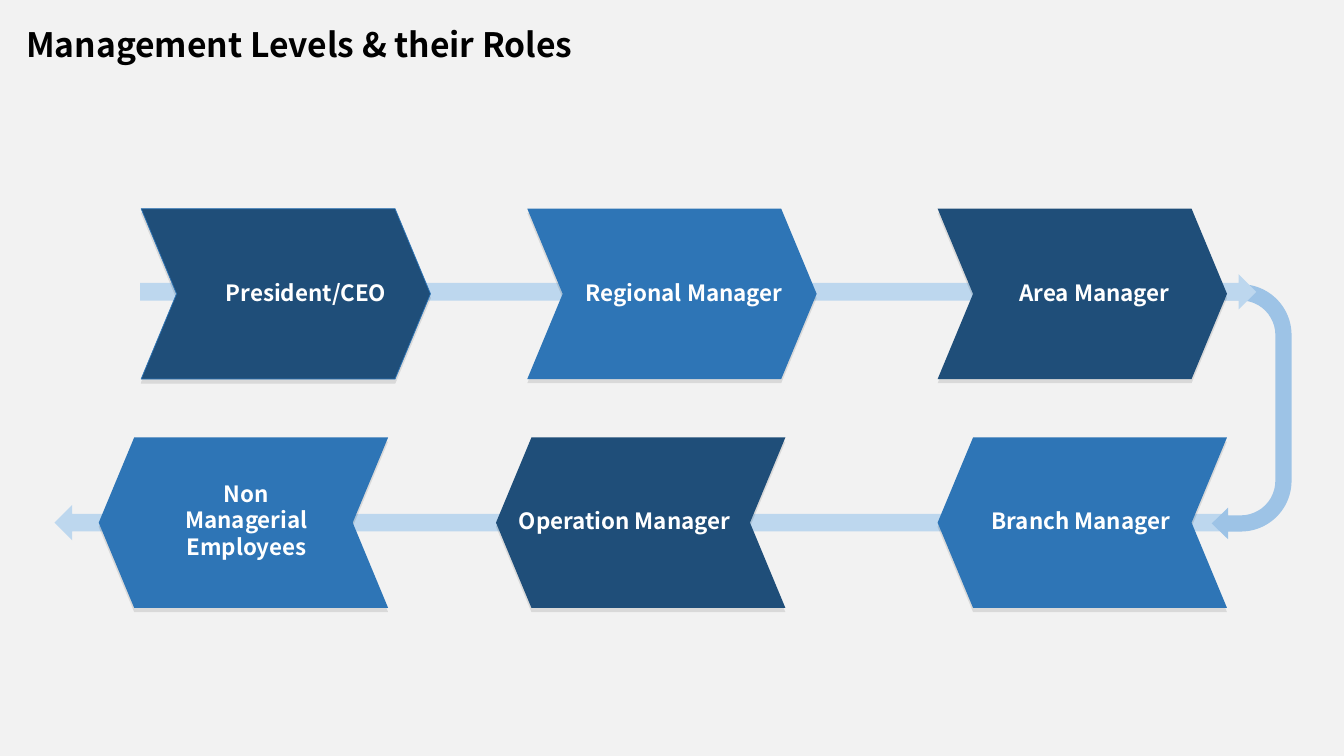
import pptx
import pptx.util
import pptx.dml.color
import pptx.enum.shapes
import pptx.enum.text
import pptx.oxml
import pptx.oxml.ns

Inches = pptx.util.Inches
Kind = pptx.enum.shapes.MSO_SHAPE
Align = pptx.enum.text.PP_ALIGN
colors = {"back": "F2F2F2", "dark": "1F4E79", "mid": "2E75B6", "pale": "BDD7EE",
          "bend": "9DC3E6", "white": "FFFFFF", "black": "000000"}
rgb = {name: pptx.dml.color.RGBColor.from_string(code) for name, code in colors.items()}
shade = (f'<a:outerShdw {pptx.oxml.ns.nsdecls("a")} blurRad="0" dist="38100" dir="5400000" '
         'algn="t" rotWithShape="0"><a:srgbClr val="000000"><a:alpha val="10000"/>'
         '</a:srgbClr></a:outerShdw>')

deck = pptx.Presentation()
deck.slide_width, deck.slide_height = Inches(13.33), Inches(7.5)
slide = deck.slides.add_slide(deck.slide_layouts[6])


def add_form(kind, box, color, adjust=()):
    form = slide.shapes.add_shape(kind, *map(Inches, box))
    form.shadow.inherit = False
    form.fill.solid()
    form.fill.fore_color.rgb = rgb[color]
    form.line.fill.background()
    for i, value in enumerate(adjust):
        form.adjustments[i] = value
    return form


def add_label(text, box, size, color, align):
    label = slide.shapes.add_textbox(*map(Inches, box))
    frame = label.text_frame
    frame.word_wrap = True
    frame.auto_size = pptx.enum.text.MSO_AUTO_SIZE.SHAPE_TO_FIT_TEXT
    para = frame.paragraphs[0]
    para.alignment = align
    run = para.add_run()
    run.text = text
    style = {"name": "Noto Sans CJK SC", "size": pptx.util.Pt(size), "bold": True}
    for key, value in style.items():
        setattr(run.font, key, value)
    run.font.color.rgb = rgb[color]


# Background and the path behind the levels
add_form(Kind.RECTANGLE, (0, 0, 13.33, 7.5), "back")
add_form(Kind.LEFT_ARROW, (0.54, 5.01, 11.63, 0.35), "pale")
bend = add_form(Kind.U_TURN_ARROW, (10.97, 3.51, 2.53, 1.15), "bend",
                (0.14, 0.136, 0.141, 0.438, 0.689))
bend.rotation = 90
add_form(Kind.RIGHT_ARROW, (1.39, 2.72, 11.07, 0.35), "pale")

# Levels: name, chevron left, label left, top, width, height
rows = [
    (2.07, False, [("President/CEO", 1.4, 2.03, 2.72, 2.01, 0.37),
                   ("Regional Manager", 5.23, 5.6, 2.72, 2.37, 0.37),
                   ("Area Manager", 9.3, 9.95, 2.72, 1.81, 0.37)]),
    (4.34, True, [("Branch Manager", 9.3, 9.68, 4.98, 2.08, 0.37),
                  ("Operation Manager", 4.92, 4.92, 4.98, 2.55, 0.37),
                  ("Non Managerial Employees", 0.98, 1.54, 4.71, 1.81, 0.91)]),
]
for top, back, levels in rows:
    for i, (name, left, *box) in enumerate(levels):
        color = "dark" if (i % 2 == 1) == back else "mid"
        level = add_form(Kind.CHEVRON, (left, top, 2.87, 1.69), color, (0.208,))
        props = level._element.spPr
        if back:
            props.get_or_add_xfrm().set("flipH", "1")
        if name == "President/CEO":
            level.line.color.rgb = rgb["mid"]
            level.line.width = pptx.util.Pt(0.5)
        props.find(pptx.oxml.ns.qn("a:effectLst")).append(pptx.oxml.parse_xml(shade))
        add_label(name, box, 16, "white", Align.CENTER)

# Title
add_label("Management Levels & their Roles", (0.16, 0.19, 6.69, 0.5), 24, "black", Align.LEFT)

deck.save("out.pptx")
